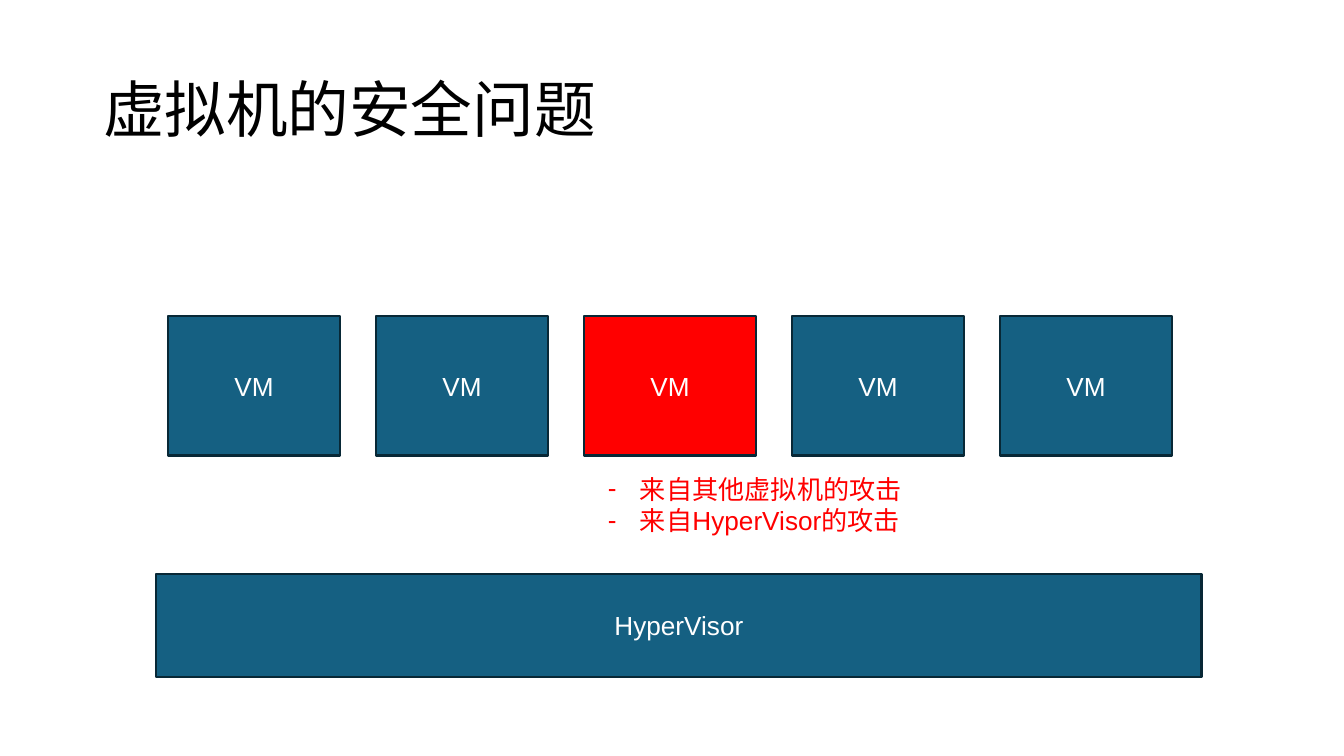
"""Build a slide on the security problems of virtual machines above a hypervisor."""
from lxml.etree import SubElement
from pptx import Presentation
from pptx.dml.color import RGBColor
from pptx.enum.shapes import MSO_SHAPE
from pptx.enum.text import MSO_ANCHOR, MSO_AUTO_SIZE, PP_ALIGN
from pptx.oxml.ns import qn
from pptx.util import Emu, Pt

TITLE = "虚拟机的安全问题"
MACHINES = ["VM", "VM", "VM", "VM", "VM"]
VICTIM = 2
HYPERVISOR = "HyperVisor"
ATTACKS = ["来自其他虚拟机的攻击", "来自HyperVisor的攻击"]

BLUE, NAVY, RED, WHITE, BLACK = "156082", "082836", "FF0000", "FFFFFF", "000000"
PX_PER_INCH = 134.4
VM_LEFT, VM_TOP, VM_WIDTH, VM_HEIGHT, VM_STEP = 168, 316, 172, 140, 208


def px(length):
    return Emu(round(length * 914400 / PX_PER_INCH))


def color(value):
    return RGBColor.from_string(value)


def style(paragraph, size, ink, align=PP_ALIGN.LEFT):
    paragraph.alignment = align
    paragraph.font.name = "Arial"
    paragraph.font.size = Pt(size)
    paragraph.font.color.rgb = color(ink)


def set_frame(frame, anchor):
    frame.word_wrap = True
    frame.vertical_anchor = anchor
    frame.margin_left = frame.margin_right = px(10)
    frame.margin_top = frame.margin_bottom = px(5)


def add_box(slide, label, left, top, width, height, fill):
    box = slide.shapes.add_shape(
        MSO_SHAPE.RECTANGLE, px(left), px(top), px(width), px(height))
    box.shadow.inherit = False
    box.fill.solid()
    box.fill.fore_color.rgb = color(fill)
    box.line.color.rgb = color(NAVY)
    box.line.width = Pt(1.5)
    set_frame(box.text_frame, MSO_ANCHOR.MIDDLE)
    box.text_frame.text = label
    style(box.text_frame.paragraphs[0], 14, WHITE, PP_ALIGN.CENTER)


def add_dash(paragraph, ink):
    properties = paragraph._p.get_or_add_pPr()
    properties.set("marL", str(px(32)))
    properties.set("indent", str(-px(32)))
    bullet_color = SubElement(properties, qn("a:buClr"))
    SubElement(bullet_color, qn("a:srgbClr"), val=ink)
    SubElement(properties, qn("a:buFont"), typeface="Arial")
    SubElement(properties, qn("a:buChar"), char="-")


def add_title(slide):
    title = slide.shapes.title
    title.left, title.top, title.width, title.height = map(px, (93, 40, 1159, 146))
    set_frame(title.text_frame, MSO_ANCHOR.MIDDLE)
    title.text_frame.auto_size = MSO_AUTO_SIZE.NONE
    title.text_frame.text = TITLE
    heading = title.text_frame.paragraphs[0]
    heading.line_spacing = 0.9
    style(heading, 33, BLACK)


def add_attacks(slide):
    attacks = slide.shapes.add_textbox(px(598), px(468), px(388), px(74)).text_frame
    set_frame(attacks, MSO_ANCHOR.TOP)
    attacks.auto_size = MSO_AUTO_SIZE.SHAPE_TO_FIT_TEXT
    attacks.text = "\n".join(ATTACKS)
    for attack in attacks.paragraphs:
        add_dash(attack, RED)
        style(attack, 14, RED)


def main():
    deck = Presentation()
    deck.slide_width, deck.slide_height = px(1344), px(756)
    slide = deck.slides.add_slide(deck.slide_layouts[5])
    add_title(slide)
    add_box(slide, HYPERVISOR, 156, 574, 1046, 103, BLUE)
    for index, machine in enumerate(MACHINES):
        add_box(slide, machine, VM_LEFT + index * VM_STEP, VM_TOP, VM_WIDTH,
                VM_HEIGHT, RED if index == VICTIM else BLUE)
    add_attacks(slide)
    deck.save("out.pptx")


if __name__ == "__main__":
    main()
